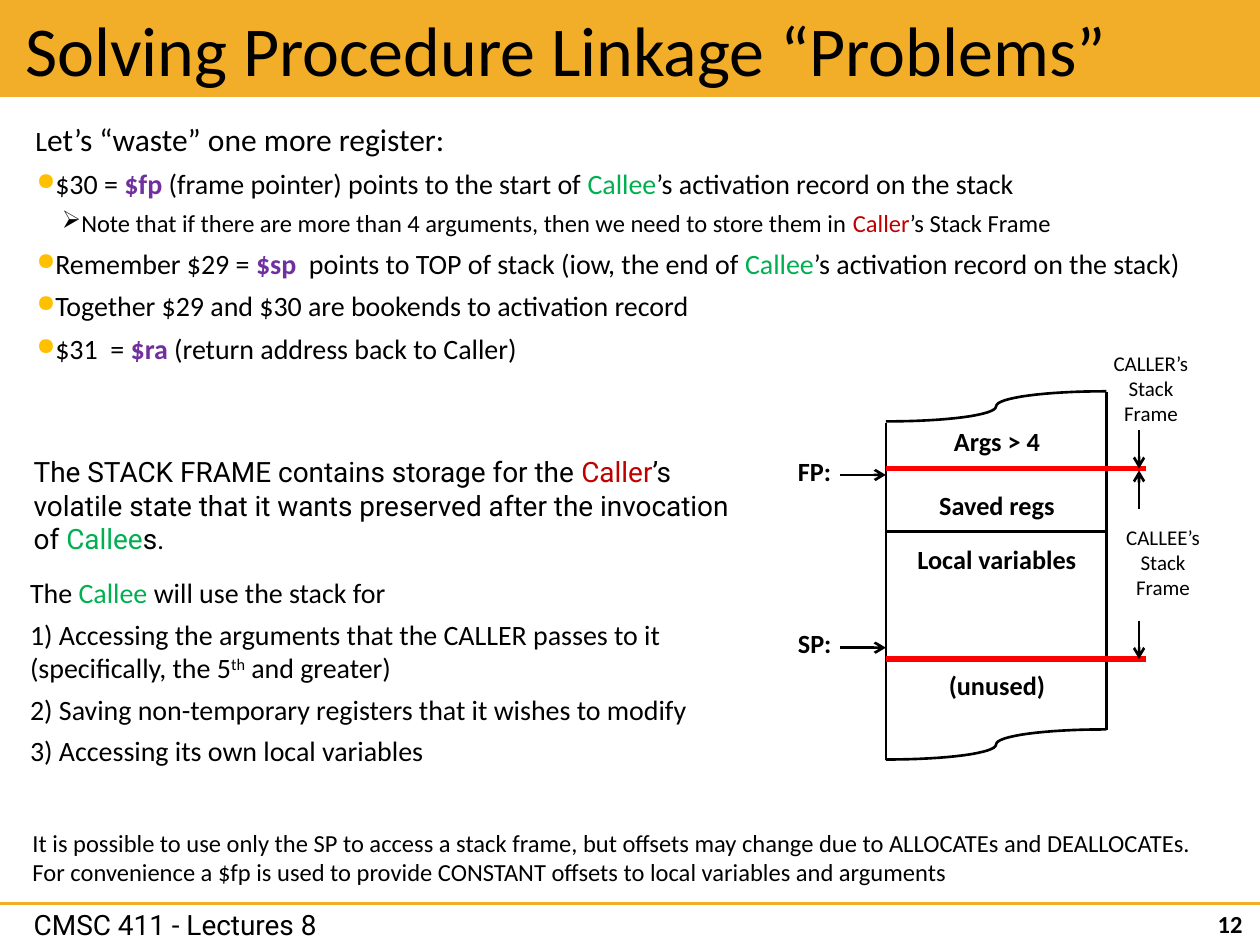
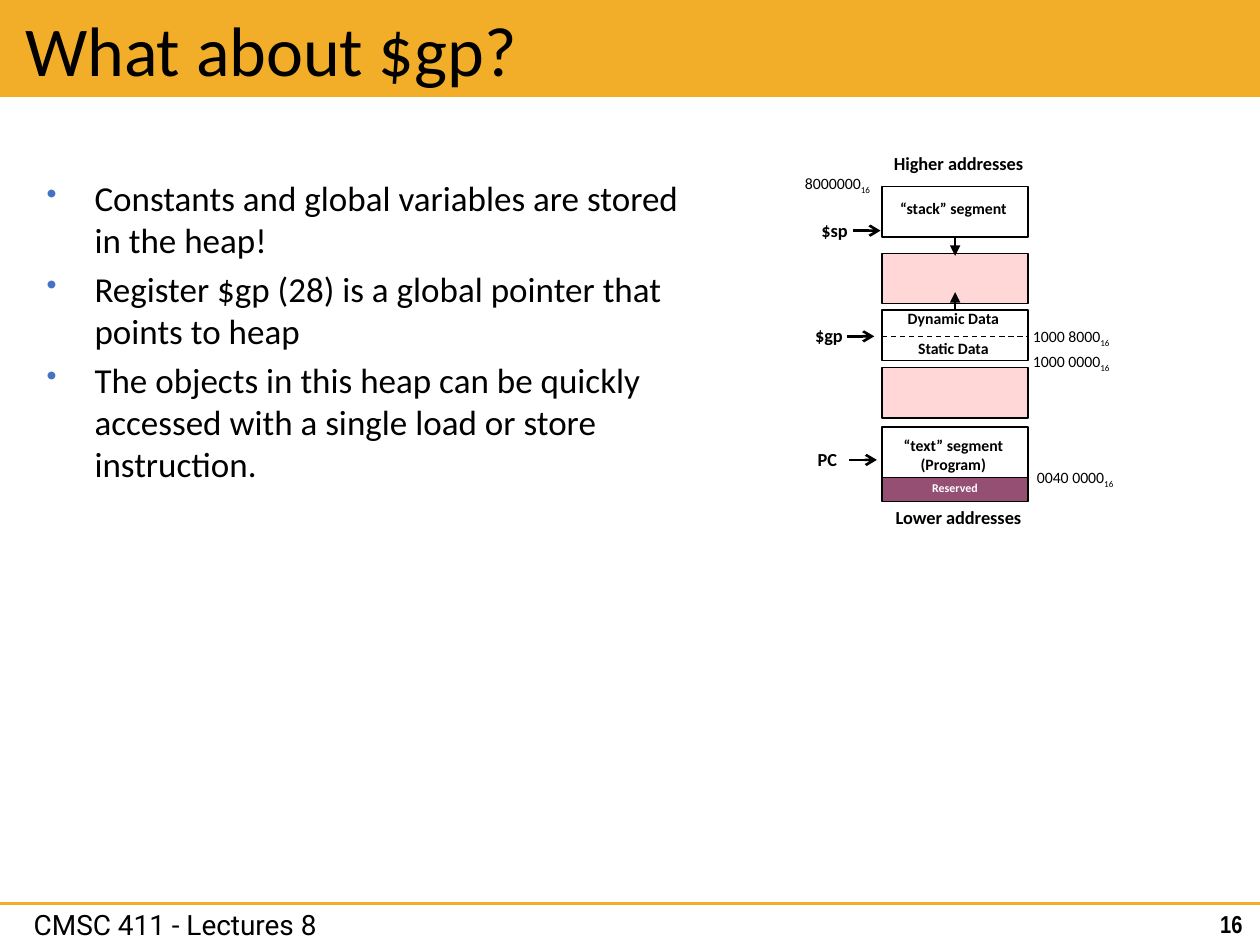
"""Build two lecture slides on stack frames and the global pointer."""
from lxml import etree
from pptx import Presentation
from pptx.dml.color import RGBColor
from pptx.enum.dml import MSO_LINE
from pptx.enum.shapes import MSO_CONNECTOR, MSO_SHAPE
from pptx.enum.text import MSO_ANCHOR, PP_ALIGN
from pptx.oxml.ns import qn
from pptx.util import Pt

LEFT, CENTER, RIGHT = PP_ALIGN.LEFT, PP_ALIGN.CENTER, PP_ALIGN.RIGHT
TOP, MIDDLE = MSO_ANCHOR.TOP, MSO_ANCHOR.MIDDLE
RECT, STRAIGHT, DASH = MSO_SHAPE.RECTANGLE, MSO_CONNECTOR.STRAIGHT, MSO_LINE.DASH

GOLD, BLACK, WHITE, RED = "F2AE29", "000000", "FFFFFF", "FF0000"
PINK, PLUM = "FFD7D7", "954F72"
CALLEE, CALLER, REGISTER = {"color": "00B050"}, {"color": "C00000"}, {"color": "7030A0", "bold": True}
BODY_INSET = (14.4, 10.8)


def rgb(value):
    return RGBColor.from_string(value)


def add_bullet(p, char, color, scale, margin, indent):
    pPr = p._p.get_or_add_pPr()
    pPr.set("marL", str(Pt(margin)))
    pPr.set("indent", str(Pt(indent)))
    clr = etree.SubElement(pPr, qn("a:buClr"))
    etree.SubElement(clr, qn("a:srgbClr"), val=color)
    etree.SubElement(pPr, qn("a:buSzPct"), val=str(scale * 1000))
    etree.SubElement(pPr, qn("a:buChar"), char=char)


def write(tf, runs, size=16, font="Calibri", color=BLACK, bold=False, align=LEFT,
          spacing=None, before=0, bullet=None):
    """Add one paragraph; runs is a string or a list of strings and (string, format) pairs."""
    p = tf.paragraphs[0]
    if p.runs:
        p = tf.add_paragraph()
        p.space_before = Pt(before)
    if bullet:
        add_bullet(p, *bullet)
    p.alignment = align
    if spacing:
        p.line_spacing = spacing
    for run in [runs] if isinstance(runs, str) else runs:
        text, own = (run, {}) if isinstance(run, str) else run
        if text == "\n":
            p.add_line_break()
            etree.SubElement(p._p[-1], qn("a:rPr"), sz=str(size * 100))
            continue
        r = p.add_run()
        r.text = text
        r.font.name = font
        r.font.size = Pt(own.get("size", size))
        r.font.bold = own.get("bold", bold)
        r.font.color.rgb = rgb(own.get("color", color))
        if "base" in own:
            r._r.get_or_add_rPr().set("baseline", str(own["base"] * 1000))


class Deck:
    """Holds the presentation, its shared style and the current slide."""

    def __init__(self):
        self.prs = Presentation()
        self.prs.slide_width, self.prs.slide_height = Pt(720), Pt(540)

    def slide(self, title, number, number_font="Calibri"):
        self.s = self.prs.slides.add_slide(self.prs.slide_layouts[6])
        self.text(12.2, 514.8, 240, 26.6, "CMSC 411 - Lectures 8", font="Roboto")
        self.line(0, 516.2, 720, 516.2, GOLD)
        band = self.rect(0, 0, 720, 55.4, GOLD, border=None, inset=(14.4, 3.6))
        write(band, title, size=40)
        self.text(686.9, 516.2, 30.2, 23.8, number, size=14, font=number_font,
                  bold=True, align=RIGHT)

    def frame(self, sp, inset, anchor):
        tf = sp.text_frame
        tf.word_wrap = True
        tf.vertical_anchor = anchor
        tf.margin_left = tf.margin_right = Pt(inset[0])
        tf.margin_top = tf.margin_bottom = Pt(inset[1])
        return tf

    def text(self, x, y, w, h, *paras, inset=(7.2, 3.6), **fmt):
        sp = self.s.shapes.add_textbox(Pt(x), Pt(y), Pt(w), Pt(h))
        tf = self.frame(sp, inset, TOP)
        for runs in paras:
            write(tf, runs, **fmt)
        return tf

    def rect(self, x, y, w, h, fill, border=BLACK, inset=(7.2, 3.6)):
        sp = self.s.shapes.add_shape(RECT, Pt(x), Pt(y), Pt(w), Pt(h))
        sp.shadow.inherit = False
        sp.fill.solid()
        sp.fill.fore_color.rgb = rgb(fill)
        if border:
            sp.line.color.rgb = rgb(border)
            sp.line.width = Pt(0.75)
        else:
            sp.line.fill.background()
        return self.frame(sp, inset, MIDDLE)

    def line(self, x1, y1, x2, y2, color=BLACK, width=1.5, dash=None, arrow=None):
        cn = self.s.shapes.add_connector(STRAIGHT, Pt(x1), Pt(y1), Pt(x2), Pt(y2))
        cn.line.color.rgb = rgb(color)
        cn.line.width = Pt(width)
        if dash:
            cn.line.dash_style = dash
        if arrow:
            etree.SubElement(cn.line._get_or_add_ln(), qn("a:tailEnd"), type=arrow)
        etree.SubElement(cn._element.spPr, qn("a:effectLst"))

    def torn_edge(self, x, y, half_width, half_height, steps=16):
        """Draw an S-shaped edge around its centre, as two mirrored Bezier curves."""
        half = []
        for i in range(steps + 1):
            t = i / steps
            u = 1 - t
            dx = half_width * (3 * u * t**2 * 0.45 + t**3)
            dy = half_height * (3 * u**2 * t * 0.58 + 3 * u * t**2 + t**3)
            half.append((dx, dy))
        points = [(x - dx, y + dy) for dx, dy in reversed(half)]
        points += [(x + dx, y - dy) for dx, dy in half[1:]]
        points = [(Pt(px), Pt(py)) for px, py in points]
        builder = self.s.shapes.build_freeform(*points[0])
        builder.add_line_segments(points[1:], close=False)
        sp = builder.convert_to_shape()
        sp.shadow.inherit = False
        sp.fill.background()
        sp.line.color.rgb = rgb(BLACK)
        sp.line.width = Pt(1.5)


def linkage_slide(d):
    d.slide("Solving Procedure Linkage “Problems”", "12")
    dot = ("●", "FFC000", 85, 0.72, 0)
    arrow = ("➢", BLACK, 100, 21.6, -6.5)
    tf = d.text(5.8, 55.4, 696.2, 198, inset=BODY_INSET)
    points = [
        (["L", ("et’s “waste” one more register:", {"size": 18})], 16, None),
        (["$30 = ", ("$fp ", REGISTER), "(frame pointer) points to the start of ",
          ("Callee", CALLEE), "’s activation record on the stack"], 16, dot),
        (["Note that if there are more than 4 arguments, then we need to store them in ",
          ("Caller", CALLER), "’s Stack Frame"], 14, arrow),
        (["Remember $29 = ", ("$sp", REGISTER), "  points to TOP of stack (iow, the end of ",
          ("Callee", CALLEE), "’s activation record on the stack)"], 16, dot),
        ("Together $29 and $30 are bookends to activation record", 16, dot),
        (["$31  = ", ("$ra", REGISTER), " (return address back to Caller)"], 16, dot),
    ]
    for runs, size, bullet in points:
        write(tf, runs, size=size, spacing=1.1, before=size * 0.2, bullet=bullet)

    left, right, mid = 506.2, 632.2, 569.2
    fp, sp, depth = 267.8, 376.6, 193.2
    label = {"size": 15, "bold": True, "spacing": 0.9, "inset": (5, 2.9)}
    for name, y in (("FP:", 271.4), ("SP:", 370.1)):
        d.text(451, y - 12.3, 36, 21.6, name, **label)
        d.line(480.2, y, left, y, arrow="arrow")
    for y in (232.2, 232.2 + depth):
        d.torn_edge(mid, y, 63, 8.6)
    d.line(left, 241.9, left, 434.2)
    d.line(right, 223.9, right, 223.9 + depth)
    d.line(left, 303.8, right, 303.8)
    for name, y in (("Args > 4", 241.9), ("Saved regs", 278.6),
                    ("Local variables", 309.6), ("(unused)", 381.6)):
        d.text(left, y, right - left + 1, 21.6, name, align=CENTER, **label)
    for y in (fp, sp):
        d.line(left, y, 655, y, RED, 3)
    for name, x, y, w in (("CALLER’s", 623.5, 196.6, 68.4), ("CALLEE’s", 628.6, 295.9, 72)):
        d.text(x, y, w, 51, name, "Stack Frame", size=12, align=CENTER)
    for start, end in ((fp - 22, fp), (fp + 23, fp + 1), (sp - 22, sp)):
        d.line(650.9, start, 650.9, end, arrow="arrow")

    d.text(10.1, 325.4, 420, 139,
           ["The ", ("Callee", CALLEE), " will use the stack for"],
           ["1) Accessing the arguments that the CALLER passes to it", "\n",
            "(specifically, the 5", ("th", {"base": 30}), " and greater)"],
           "2) Saving non-temporary registers that it wishes to modify",
           "3) Accessing its own local variables", before=4.5)
    d.text(11.5, 469.4, 700, 41,
           "It is possible to use only the SP to access a stack frame, "
           "but offsets may change due to ALLOCATEs and DEALLOCATEs.",
           "For convenience a $fp is used to provide CONSTANT offsets "
           "to local variables and arguments", size=14)
    d.text(12.2, 256.3, 419.8, 46,
           ["The STACK FRAME contains storage for the ", ("Caller", CALLER),
            "’s volatile state that it wants preserved after the invocation of ",
            ("Callee", CALLEE), "s."], font="Roboto")


def global_pointer_slide(d):
    d.slide("What about $gp?", "16", "Arial Narrow")
    d.text(12.2, 90, 409, 414,
           "Constants and global variables are stored in the heap!",
           "Register $gp (28) is a global pointer that points to heap",
           "The objects in this heap can be quickly accessed "
           "with a single load or store instruction.",
           inset=BODY_INSET, size=20, before=4, bullet=("•", "4472C4", 85, 27.4, -27.4))

    left, width, mid = 504, 83.5, 545.8
    reserved = d.rect(left, 271.4, width, 15.1, PLUM)
    write(reserved, "Reserved", size=6.8, color=WHITE, bold=True, align=CENTER)
    for y, fill in ((106.6, WHITE), (144.7, PINK), (177.1, WHITE), (210.2, PINK), (244.1, WHITE)):
        d.rect(left, y, width, 28.8, fill)
    d.line(left, 192.2, left + width, 192.2, width=0.75, dash=DASH)
    for start, end in ((136.1, 146.2), (177.1, 167)):
        d.line(mid, start, mid, end, width=1, arrow="triangle")

    for y, *names in ((110.2, "“stack” segment"), (172.8, "Dynamic Data"),
                      (190.1, "Static Data"), (245.5, "“text” segment", "(Program)")):
        d.text(left - 1, y, width, 18, *names, size=9, bold=True, align=CENTER)
    for name, y in (("Higher addresses", 87.1), ("Lower addresses", 289.4)):
        d.text(left + 2, y, width, 13, name, size=10.5, bold=True, align=CENTER, inset=(0, 0))
    for name, x, y in (("$sp", 487.4, 131.8), ("$gp", 483.8, 192.2), ("PC", 485.3, 262.8)):
        d.text(x - 18, y - 6.8, 20, 13, name, size=10.5, bold=True, inset=(0, 0))
        d.line(x, y, x + 15.8, y, arrow="arrow")
    for address, x, y in (("8000000", 452.9, 95.8), ("1000 8000", 583.2, 182.9),
                          ("1000 0000", 583.2, 197.3), ("0040 0000", 585.4, 263.5)):
        d.text(x, y, 72, 18, [address, ("16", {"base": -25})], size=9)


def main():
    d = Deck()
    linkage_slide(d)
    global_pointer_slide(d)
    d.prs.save("out.pptx")


if __name__ == "__main__":
    main()
